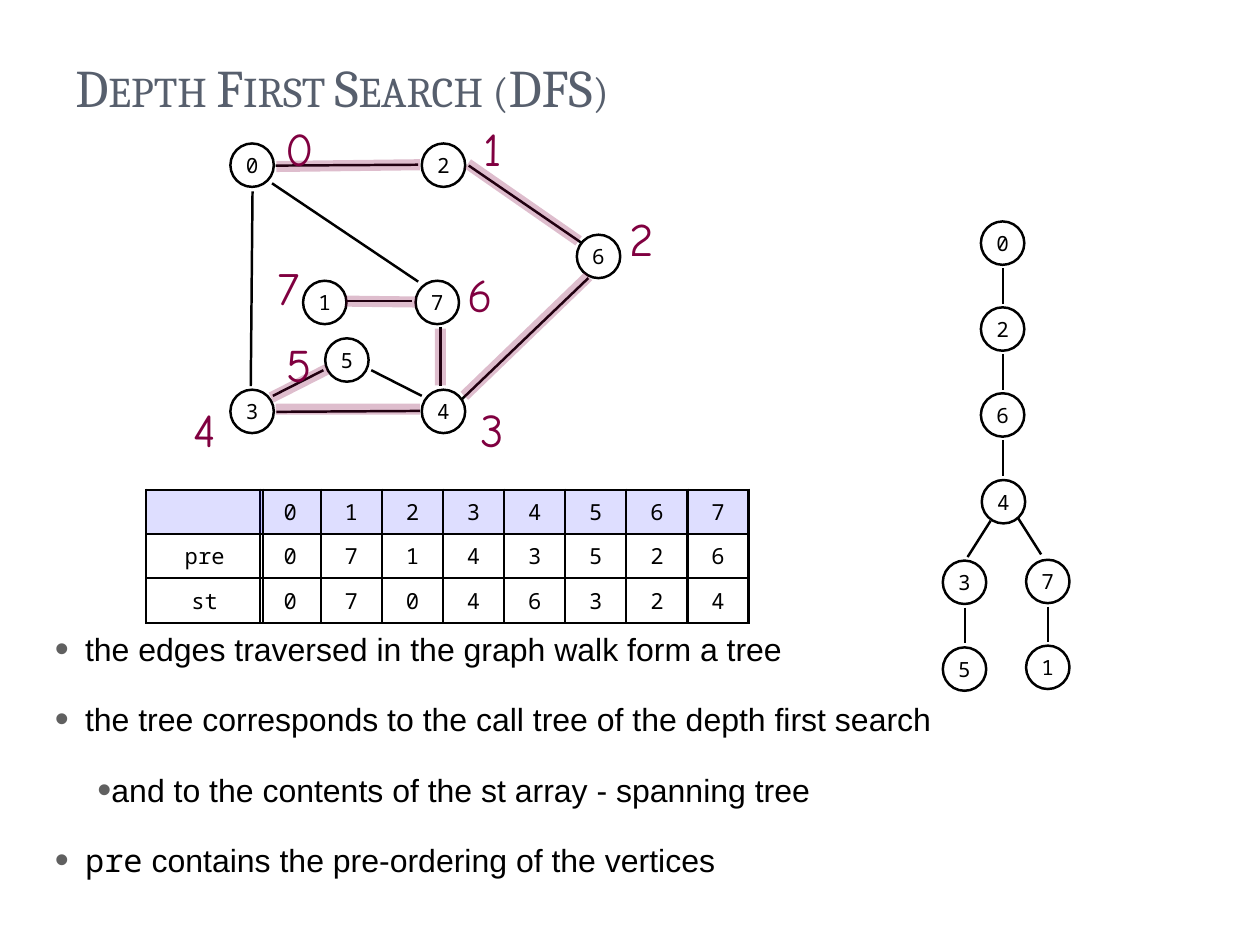
from typing import Any, NamedTuple

from lxml.etree import SubElement as Sub
from pptx import Presentation
from pptx.dml.color import RGBColor as Rgb
from pptx.enum.shapes import MSO_CONNECTOR as Conn, MSO_SHAPE as Shape
from pptx.enum.text import MSO_ANCHOR as Anchor, MSO_AUTO_SIZE as Fit, PP_ALIGN as Align
from pptx.oxml.ns import qn
from pptx.util import Emu, Pt

PX = 9144  # 100 px to the inch
MONO, SANS, HAND, SERIF = "Noto Sans Mono", "Arial", "Comic Neue", "Cambria"
BLACK, PLUM, SLATE, GREY, BLUE = "000000", "800040", "575F6D", "606060", "0000FF"
SIZE = 49  # node diameter


class Node(NamedTuple):
    text: str
    x: int
    y: int


class Edge(NamedTuple):
    x1: int
    y1: int
    x2: int
    y2: int


# Graph: vertices, edges, walked edges and visit order
VERTS = [Node("0", 260, 162), Node("2", 476, 162), Node("6", 651, 265), Node("1", 342, 317),
         Node("7", 469, 317), Node("3", 260, 440), Node("4", 476, 440), Node("5", 367, 382)]
EDGES = [Edge(311, 187, 472, 186), Edge(312, 465, 474, 464), Edge(285, 216, 283, 436),
         Edge(307, 207, 472, 318), Edge(529, 187, 656, 274), Edge(521, 451, 664, 314),
         Edge(389, 340, 465, 340), Edge(308, 447, 365, 418), Edge(419, 418, 476, 447),
         Edge(497, 369, 497, 436)]
WALK = [Edge(312, 188, 474, 186), Edge(528, 185, 653, 272), Edge(524, 447, 664, 312),
        Edge(311, 462, 474, 462), Edge(306, 449, 369, 417), Edge(497, 435, 497, 371),
        Edge(469, 341, 390, 340)]
ORDER = [Node("0", 322, 134), Node("1", 541, 134), Node("2", 709, 235), Node("3", 541, 451),
         Node("4", 216, 451), Node("5", 323, 377), Node("6", 527, 298), Node("7", 311, 291)]

# Tree: nodes, those with a child straight below, and the fork under 4
TREE = [Node("0", 1107, 250), Node("2", 1107, 347), Node("6", 1107, 444), Node("4", 1108, 542),
        Node("3", 1064, 633), Node("5", 1064, 731), Node("7", 1158, 632), Node("1", 1158, 729)]
STEMS = "02637"
FORK = [Edge(1118, 588, 1092, 629), Edge(1175, 626, 1149, 585)]

# Arrays: one string a row, one digit a column
VALUES = ["01234567", "07143526", "07046324"]
NAMES = [[""], ["pre"], ["st"]]
POINTS = [
    (0, [("the edges traversed in the graph walk form a tree", SANS)]),
    (0, [("the tree corresponds to the call tree of the depth first search", SANS)]),
    (1, [("and to the contents of the st array - spanning tree", SANS)]),
    (0, [("pre", MONO), (" contains the pre-ordering of the vertices", SANS)]),
]


def px(n: float) -> Emu:
    return Emu(int(n * PX))


def rgb(code: str) -> Rgb:
    return Rgb.from_string(code)


def fade(part: Any, pct: int) -> None:
    """Set the alpha of the solid colour in part."""
    tint = next(part.iter(qn("a:srgbClr")))
    Sub(tint, qn("a:alpha"), val=str(pct * 1000))


def write(par: Any, text: str, *, size: float, font: str = MONO, color: str = BLACK,
          align: Any = Align.CENTER, small: bool = False) -> None:
    par.alignment = align
    run = par.add_run()
    run.text = text
    run.font.size, run.font.name = Pt(size), font
    run.font.color.rgb = rgb(color)
    if small:
        run.font._element.set("cap", "small") if hasattr(run.font, "_element") else \
            run._r.get_or_add_rPr().set("cap", "small")


def frame(box: Any, anchor: Any, side: int = 0, edge: int = 0, wrap: bool = True,
          fit: Any = Fit.NONE) -> Any:
    text = box.text_frame
    text.margin_left = text.margin_right = px(side)
    text.margin_top = text.margin_bottom = px(edge)
    text.vertical_anchor, text.word_wrap, text.auto_size = anchor, wrap, fit
    return text


def place(box: Any, x: int, y: int, w: int, h: int) -> None:
    box.left, box.top, box.width, box.height = px(x), px(y), px(w), px(h)


def ring(shapes: Any, node: Node) -> None:
    oval = shapes.add_shape(Shape.OVAL, px(node.x), px(node.y), px(SIZE), px(SIZE))
    oval.shadow.inherit = False
    oval.fill.background()
    oval.line.color.rgb, oval.line.width = rgb(BLACK), Pt(2)
    write(frame(oval, Anchor.MIDDLE).paragraphs[0], node.text, size=17)


def link(shapes: Any, edge: Edge, color: str = BLACK, width: int = 2, alpha: int = 100) -> None:
    line = shapes.add_connector(Conn.STRAIGHT, *(px(n) for n in edge))
    line.line.color.rgb, line.line.width = rgb(color), Pt(width)
    if alpha < 100:
        fade(line.line._get_or_add_ln(), alpha)
    Sub(line._element.spPr, qn("a:effectLst"))


def border(cell: Any) -> None:
    props = cell._tc.get_or_add_tcPr()
    for spot, side in enumerate(("lnL", "lnR", "lnT", "lnB")):
        line = Sub(props, qn(f"a:{side}"), w=str(Pt(2)))
        Sub(Sub(line, qn("a:solidFill")), qn("a:srgbClr"), val=BLACK)
        props.insert(spot, line)


def grid(shapes: Any, rows: list, x: int, col: int) -> None:
    count = len(rows[0])
    table = shapes.add_table(len(rows), count, px(x), px(553), px(col * count), px(150)).table
    table.first_row = table.horz_banding = False
    for c in range(count):
        table.columns[c].width = px(col)
    for r, row in enumerate(rows):
        table.rows[r].height = px(50)
        for c, text in enumerate(row):
            cell = table.cell(r, c)
            cell.margin_left = cell.margin_right = cell.margin_top = cell.margin_bottom = px(6)
            cell.vertical_anchor = Anchor.MIDDLE
            if r == 0:
                cell.fill.solid()
                cell.fill.fore_color.rgb = rgb(BLUE)
                fade(cell._tc.tcPr, 13)
            else:
                cell.fill.background()
            border(cell)
            if text:
                write(cell.text_frame.paragraphs[0], text, size=18)


def bullet(par: Any, left: int, hang: int) -> None:
    props = par._p.get_or_add_pPr()
    props.set("marL", str(px(left)))
    props.set("indent", str(px(-hang)))
    Sub(Sub(props, qn("a:buClr")), qn("a:srgbClr"), val=GREY)
    Sub(props, qn("a:buSzPct"), val="125000")
    Sub(props, qn("a:buFont"), typeface=SANS)
    Sub(props, qn("a:buChar"), char="•")


def main() -> None:
    deck = Presentation()
    deck.slide_width, deck.slide_height = px(1422), px(1067)
    slide = deck.slides.add_slide(deck.slide_layouts[1])
    shapes = slide.shapes

    # Title
    title = shapes.title
    place(title, 71, 43, 1161, 97)
    write(frame(title, Anchor.BOTTOM, 14, 7).paragraphs[0], "Depth First Search (DFS)",
          size=43, font=SERIF, color=SLATE, align=Align.LEFT, small=True)

    # Bullet list
    body = slide.placeholders[1]
    place(body, 62, 711, 1214, 451)
    text = frame(body, Anchor.TOP)
    for i, (level, runs) in enumerate(POINTS):
        par = text.add_paragraph() if i else text.paragraphs[0]
        par.level, par.space_before = level, Pt(26)
        bullet(par, *((48, 0) if level else (34, 34)))
        for words, font in runs:
            write(par, words, size=26, font=font, align=Align.LEFT)

    # Graph with its walked edges
    graph = shapes.add_group_shape().shapes
    for node in VERTS:
        ring(graph, node)
    for edge in EDGES:
        link(graph, edge)
    for edge in WALK:
        link(shapes, edge, PLUM, 9, 25)

    # Spanning tree
    tree = shapes.add_group_shape().shapes
    for node in TREE:
        ring(tree, node)
        if node.text in STEMS:
            mid = node.x + 25
            link(tree, Edge(mid, node.y + 53, mid, node.y + 93))
    for edge in FORK:
        link(tree, edge)

    # Arrays
    grid(shapes, VALUES, 293, 69)
    grid(shapes, NAMES, 165, 132)

    # Visit order
    for mark in ORDER:
        box = shapes.add_textbox(px(mark.x), px(mark.y), px(30), px(65))
        par = frame(box, Anchor.BOTTOM, wrap=False, fit=Fit.SHAPE_TO_FIT_TEXT).paragraphs[0]
        write(par, mark.text, size=38, font=HAND, color=PLUM)

    deck.save("out.pptx")


if __name__ == "__main__":
    main()
